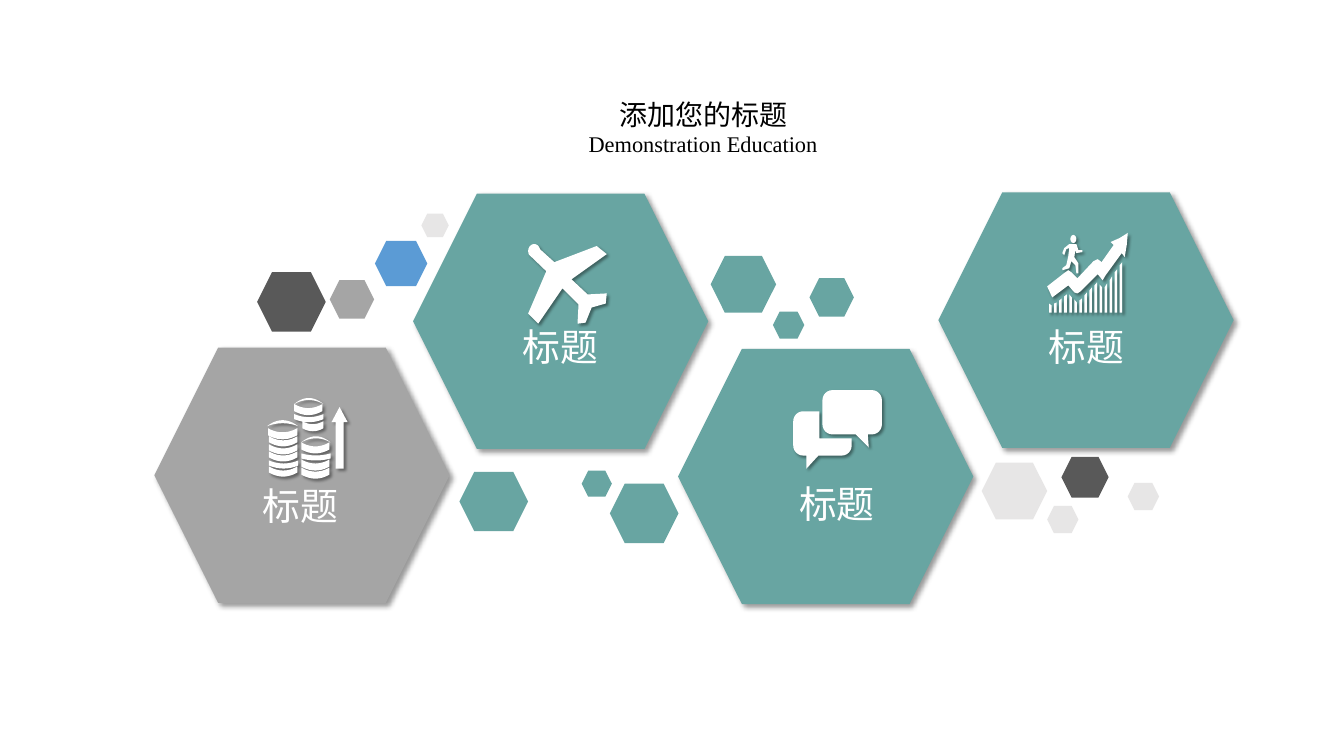
from math import cos, radians, sin

from lxml.etree import SubElement
from pptx import Presentation
from pptx.dml.color import RGBColor
from pptx.enum.shapes import MSO_SHAPE
from pptx.enum.text import MSO_ANCHOR, PP_ALIGN
from pptx.oxml.ns import qn
from pptx.util import Cm, Pt

COLORS = {
    "teal": "68A5A2", "gray": "A5A5A5", "dark": "595959", "light": "E7E6E6",
    "blue": "5B9BD5", "white": "FFFFFF", "black": "000000",
}
ICON_UNIT = Cm(0.0254)
HEXAGON_RATIO = 0.865


# Outlines, in icon units
def arc(x, y, radius_x, radius_y, start, stop, steps=12):
    angles = [radians(start + (stop - start) * i / steps) for i in range(steps + 1)]
    return [(x + radius_x * cos(a), y + radius_y * sin(a)) for a in angles]


def corner(x, y, start):
    return arc(x, y, 10, 10, start, start + 90, 6)


def band(left, right, top, height, sag, bottom_sag=None):
    """A strip between two curved edges, like the side or rim of a coin."""
    bottom_sag = sag if bottom_sag is None else bottom_sag
    middle, half = (left + right) / 2, (right - left) / 2
    turns = [i / 6 for i in range(-6, 7)]
    upper = [(middle + half * t, top + sag * (1 - t * t)) for t in turns]
    lower = [(middle + half * t, top + height + bottom_sag * (1 - t * t)) for t in turns]
    return upper + lower[::-1]


COINS = [band(*strip) for strip in (
    # Left stack
    (0, 31, 28, 0, -6, -3), (1, 30, 30, 7, 4), (2, 30, 38, 6, 4), (2, 30, 46, 6, 4),
    (2, 30, 53, 6, 4), (2, 31, 62, 5, 3), (2, 30, 68, 6, 4),
    # Right stack
    (34, 63, 44, 0, -6, -4), (34, 62, 44, 7, 4), (34, 63, 55, 5, 2),
    (34, 62, 61, 7, 4), (34, 62, 69, 7, 4),
    # Upper stack
    (27, 56, 6, 0, -6, -4), (27, 55, 6, 7, 4), (27, 56, 16, 5, 3), (35, 56, 23, 7, 3),
)] + [[(72, 9), (80, 24), (76, 24), (76, 70), (68, 70), (68, 24), (64, 24)]]

PLANE = [arc(6, 7, 6, 7, 150, 345) + [
    (26, 18), (68, 2), (78, 10), (43, 35), (59, 50), (78, 49), (77, 59), (63, 63),
    (57, 78), (49, 79), (50, 60), (34, 44), (10, 79), (0, 69), (18, 27)]]

BUBBLES = [
    corner(10, 31, 180) + [(26, 21), (26, 48), (58, 48)] + corner(48, 55, 0)
    + [(25, 65), (13, 78), (13, 65)] + corner(10, 55, 90),
    corner(39, 10, 180) + corner(78, 10, 270) + corner(78, 34, 0)
    + [(74, 44), (75, 57), (62, 44)] + corner(39, 34, 90),
]

BAR_TOPS = [(70, 72), (70, 69), (67, 65), (63, 61), (61, 64), (66, 69), (67, 65), (62, 59),
            (57, 54), (52, 49), (51, 54), (54, 50), (47, 43), (39, 36), (32, 29)]
BARS = [[(2 + 5 * i, 79), (2 + 5 * i, left), (4.5 + 5 * i, right), (4.5 + 5 * i, 79)]
        for i, (left, right) in enumerate(BAR_TOPS)]
GROWTH = BARS + [
    # Rising arrow
    [(0, 53), (5, 64), (21, 52), (27, 59), (30, 60), (33, 58), (50, 41), (52, 43), (55, 47),
     (58, 42), (74, 20), (77, 24), (79, 12), (80, 0), (72, 5), (63, 9), (66, 12), (54, 29),
     (53, 28), (50, 26), (46, 28), (30, 45), (24, 39), (21, 37), (18, 39)],
    # Runner
    arc(26, 6, 3, 4, 0, 360),
    [(15, 20), (17, 15), (22, 11), (29, 11), (31, 17), (35, 17), (35, 19), (29, 20), (28, 17),
     (27, 24), (31, 30), (31, 40), (29, 40), (28, 32), (24, 28), (22, 35), (15, 37), (15, 35),
     (19, 32), (21, 23), (22, 15), (19, 16), (17, 22)],
]

# Fill, hexagon corner, caption centre and top, icon and its corner
STEPS = [
    ("gray", (3.89, 8.76), (7.58, 12.04), COINS, (6.73, 10.03)),
    ("teal", (10.41, 4.88), (14.12, 8.03), PLANE, (13.31, 6.15)),
    ("teal", (17.09, 8.79), (21.09, 11.99), BUBBLES, (19.99, 9.83)),
    ("teal", (23.65, 4.85), (27.37, 8.03), GROWTH, (26.39, 5.87)),
]

# Fill, left, top, width
SMALL_HEXAGONS = [
    ("dark", 6.48, 6.86, 1.73), ("teal", 11.58, 11.89, 1.73), ("teal", 15.37, 12.19, 1.73),
    ("teal", 20.4, 7.01, 1.12), ("teal", 17.91, 6.45, 1.65), ("light", 10.62, 5.38, 0.69),
    ("teal", 14.66, 11.86, 0.76), ("teal", 19.48, 7.85, 0.79), ("blue", 9.45, 6.07, 1.32),
    ("light", 24.74, 11.66, 1.65), ("dark", 26.75, 11.51, 1.19), ("light", 26.39, 12.75, 0.79),
    ("gray", 8.31, 7.06, 1.12), ("light", 28.42, 12.17, 0.79),
]


def write(box, text, *, size, font, color, wrap):
    frame = box.text_frame
    frame.word_wrap = wrap
    frame.vertical_anchor = MSO_ANCHOR.TOP
    para = frame.paragraphs[0]
    para.alignment = PP_ALIGN.CENTER
    span = para.add_run()
    span.text = text
    span.font.size = Pt(size)
    span.font.name = font
    span.font.color.rgb = RGBColor.from_string(COLORS[color])


class Board:
    """Holds the style and the current slide."""

    title_font = "Times New Roman"
    caption_font = "Roboto Condensed"

    def __init__(self, page):
        self.shapes = page.shapes

    def finish(self, shape, color, shadow=None):
        shape.fill.solid()
        shape.fill.fore_color.rgb = RGBColor.from_string(COLORS[color])
        shape.line.fill.background()
        shape.shadow.inherit = False
        if shadow:
            blur, distance = shadow
            effects = shape.element.spPr.find(qn("a:effectLst"))
            outer = SubElement(effects, qn("a:outerShdw"), blurRad=str(Pt(blur)),
                               dist=str(Pt(distance)), dir="2700000", algn="tl",
                               rotWithShape="0")
            tint = SubElement(outer, qn("a:srgbClr"), val=COLORS["black"])
            SubElement(tint, qn("a:alpha"), val="40000")

    def hexagon(self, color, left, top, width, shadow=None):
        shape = self.shapes.add_shape(MSO_SHAPE.HEXAGON, Cm(left), Cm(top),
                                      Cm(width), Cm(width * HEXAGON_RATIO))
        self.finish(shape, color, shadow)

    def icon(self, outlines, left, top):
        scaled = [[(x * ICON_UNIT, y * ICON_UNIT) for x, y in outline] for outline in outlines]
        builder = self.shapes.build_freeform(*scaled[0][0])
        for outline in scaled:
            if outline is not scaled[0]:
                builder.move_to(*outline[0])
            builder.add_line_segments(outline[1:], close=True)
        self.finish(builder.convert_to_shape(Cm(left), Cm(top)), "white", shadow=(2, 2))

    def heading(self, text, left, top, width, height, size):
        box = self.shapes.add_textbox(Cm(left), Cm(top), Cm(width), Cm(height))
        write(box, text, size=size, font=self.title_font, color="black", wrap=False)

    def caption(self, text, center, top, width=4.6):
        box = self.shapes.add_textbox(Cm(center - width / 2), Cm(top), Cm(width), Cm(1.42))
        write(box, text, size=27, font=self.caption_font, color="white", wrap=True)


def main():
    deck = Presentation()
    deck.slide_width, deck.slide_height = Cm(33.87), Cm(19.05)
    board = Board(deck.slides.add_slide(deck.slide_layouts[6]))

    # Title
    board.heading("添加您的标题", 15.34, 2.34, 4.78, 1.12, size=20)
    board.heading("Demonstration Education", 14.53, 3.15, 6.38, 0.94, size=16)

    # Scattered hexagons
    for color, left, top, width in SMALL_HEXAGONS:
        board.hexagon(color, left, top, width)

    # Four steps
    for color, place, caption_place, outlines, icon_place in STEPS:
        board.hexagon(color, *place, 7.44, shadow=(4, 3))
        board.icon(outlines, *icon_place)
        board.caption("标题", *caption_place)

    deck.save("out.pptx")


if __name__ == "__main__":
    main()
